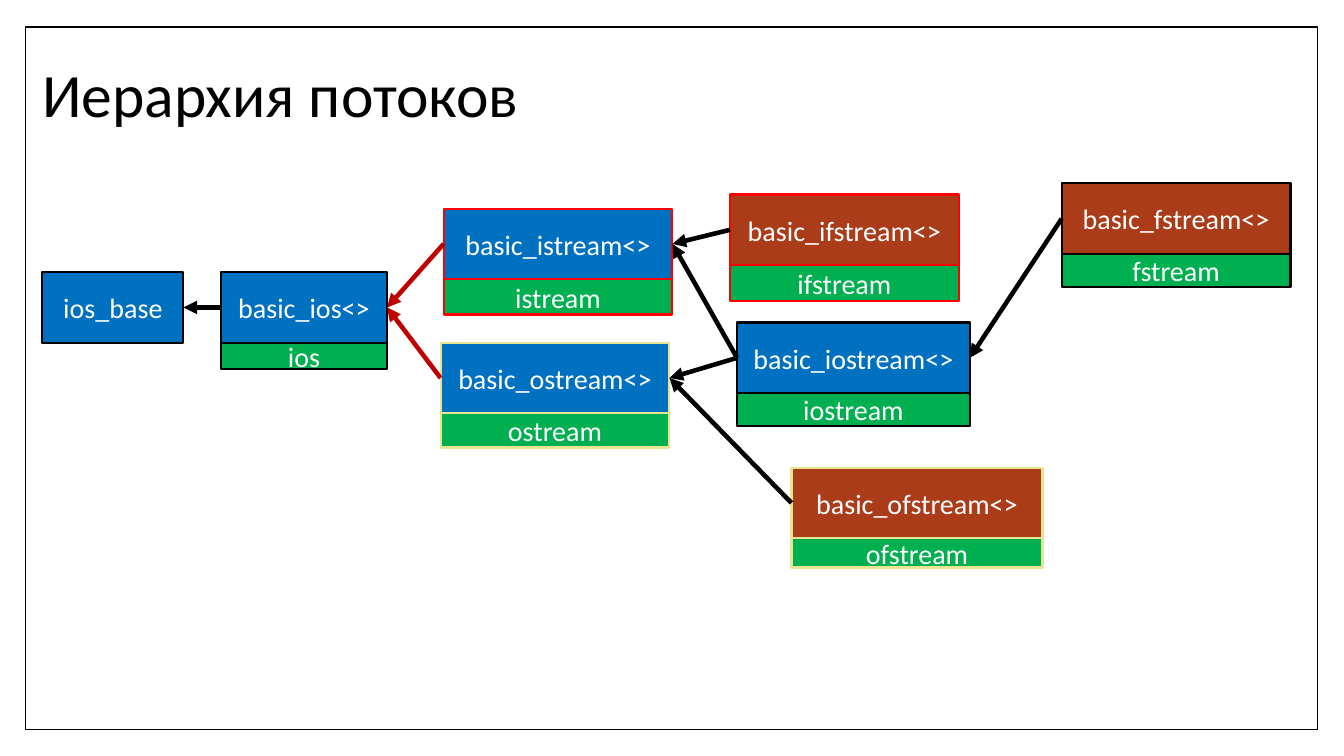
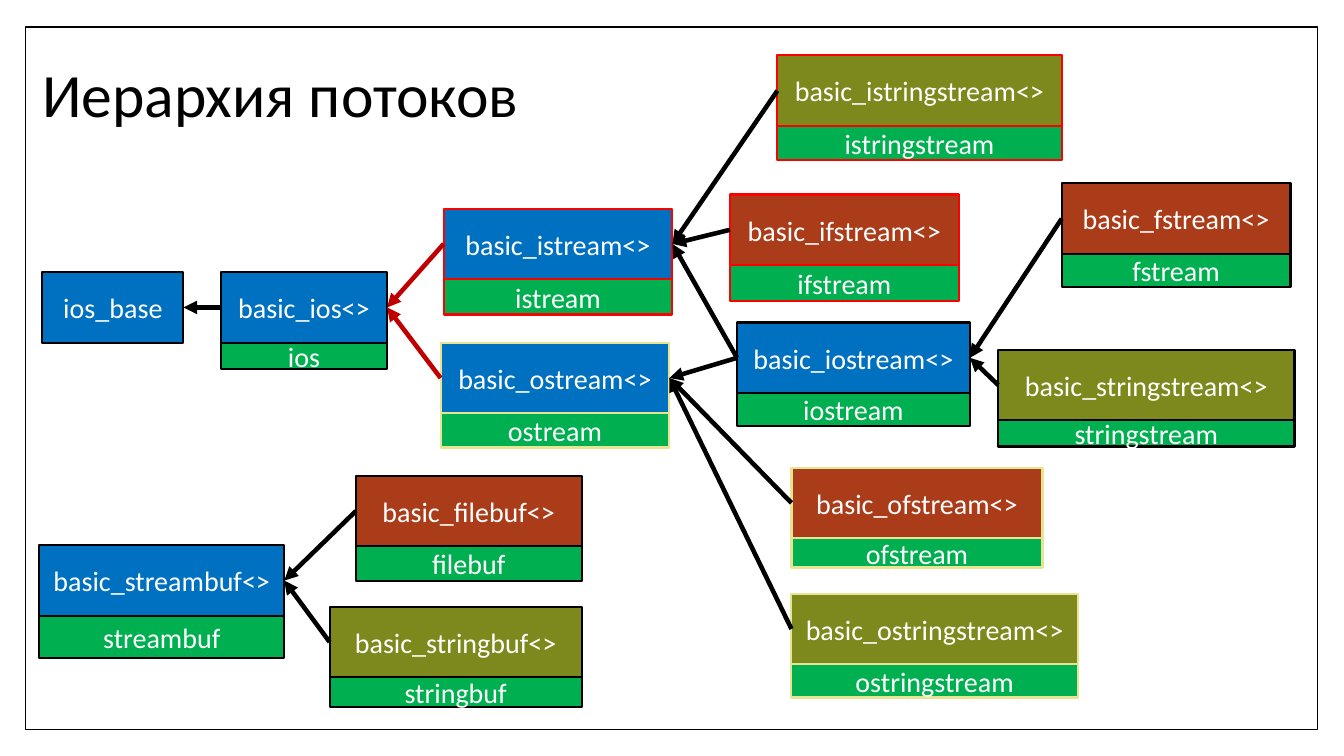
from lxml import etree
from pptx import Presentation
from pptx.dml.color import RGBColor
from pptx.enum import shapes, text
from pptx.oxml import ns
from pptx.util import Inches, Pt

TITLE = "Иерархия потоков"
FONT = "Calibri"
COLORS = {
    "core": "0070C0", "file": "AB3C19", "string": "7D891D", "alias": "00B050",
    "black": "000000", "white": "FFFFFF", "input": "FF0000", "output": "E7E591",
    "virtual": "C00000",
}
BOX_HEIGHT = 0.7

# name, left, top, width, alias height, fill, border, parents
STREAMS = [
    ("ios_base", 0.42, 2.7, 1.4, 0, "core", "black", []),
    ("ios", 2.19, 2.7, 1.65, 0.26, "core", "black", ["ios_base"]),
    ("istream", 4.4, 2.07, 2.27, 0.35, "core", "input", ["ios"]),
    ("ostream", 4.37, 3.4, 2.27, 0.34, "core", "output", ["ios"]),
    ("iostream", 7.31, 3.2, 2.31, 0.33, "core", "black", ["istream", "ostream"]),
    ("ifstream", 7.24, 1.93, 2.27, 0.36, "file", "input", ["istream"]),
    ("ofstream", 7.85, 4.64, 2.49, 0.29, "file", "output", ["ostream"]),
    ("fstream", 10.53, 1.82, 2.27, 0.33, "file", "black", ["iostream"]),
]
STRINGS_AND_BUFFERS = [
    ("istringstream", 7.71, 0.55, 2.82, 0.34, "string", "input", ["istream"]),
    ("ostringstream", 7.85, 5.89, 2.84, 0.33, "string", "output", ["ostream"]),
    ("stringstream", 9.9, 3.47, 2.94, 0.26, "string", "black", ["iostream"]),
    ("streambuf", 0.39, 5.41, 2.43, 0.42, "core", "black", []),
    ("filebuf", 3.53, 4.72, 2.24, 0.34, "file", "black", ["streambuf"]),
    ("stringbuf", 3.27, 6.02, 2.5, 0.29, "string", "black", ["streambuf"]),
]
SLIDES = [STREAMS, STREAMS + STRINGS_AND_BUFFERS]


def rgb(name):
    return RGBColor.from_string(COLORS[name])


def write(sp, words, size, color, align):
    tf = sp.text_frame
    tf.word_wrap = True
    tf.vertical_anchor = text.MSO_ANCHOR.MIDDLE
    p = tf.paragraphs[0]
    p.text = words
    p.alignment = align
    p.font.name = FONT
    p.font.size = Pt(size)
    p.font.color.rgb = rgb(color)
    return p


def add_rect(s, box, fill, border, weight, words=""):
    sp = s.shapes.add_shape(shapes.MSO_SHAPE.RECTANGLE, *map(Inches, box))
    sp.shadow.inherit = False
    sp.fill.solid()
    sp.fill.fore_color.rgb = rgb(fill)
    sp.line.color.rgb = rgb(border)
    sp.line.width = Pt(weight)
    if words:
        write(sp, words, 20, "white", text.PP_ALIGN.CENTER)
    return sp


def add_arrow(s, child, parent, color):
    arrow = s.shapes.add_connector(shapes.MSO_CONNECTOR.STRAIGHT, 0, 0, 0, 0)
    arrow.begin_connect(child, 1)
    arrow.end_connect(parent, 3)
    arrow.line.color.rgb = rgb(color)
    arrow.line.width = Pt(3.25)
    etree.SubElement(arrow.line._get_or_add_ln(), ns.qn("a:tailEnd"), type="triangle")
    etree.SubElement(arrow._element.spPr, ns.qn("a:effectLst"))


def add_base(prs):
    s = prs.slides.add_slide(prs.slide_layouts[6])
    add_rect(s, (0.25, 0.27, 12.82, 6.97), "white", "black", 1)
    title = s.shapes.add_textbox(*map(Inches, (0.32, 0.23, 10.8, 1.48)))
    p = write(title, TITLE, 44, "black", text.PP_ALIGN.LEFT)
    p.line_spacing = 0.9
    return s


def add_hierarchy(s, classes):
    boxes = {}
    for name, left, top, width, alias_height, fill, border, parents in classes:
        label = f"basic_{name}<>" if alias_height else name
        boxes[name] = add_rect(s, (left, top, width, BOX_HEIGHT), fill, border, 1.5, label)
        if alias_height:
            alias_box = (left, top + BOX_HEIGHT, width, alias_height)
            add_rect(s, alias_box, "alias", border, 1.5, name)
        for parent in parents:
            color = "virtual" if parent == "ios" else "black"
            add_arrow(s, boxes[name], boxes[parent], color)


prs = Presentation()
prs.slide_width, prs.slide_height = Inches(13.33), Inches(7.5)
for classes in SLIDES:
    add_hierarchy(add_base(prs), classes)
prs.save("out.pptx")
